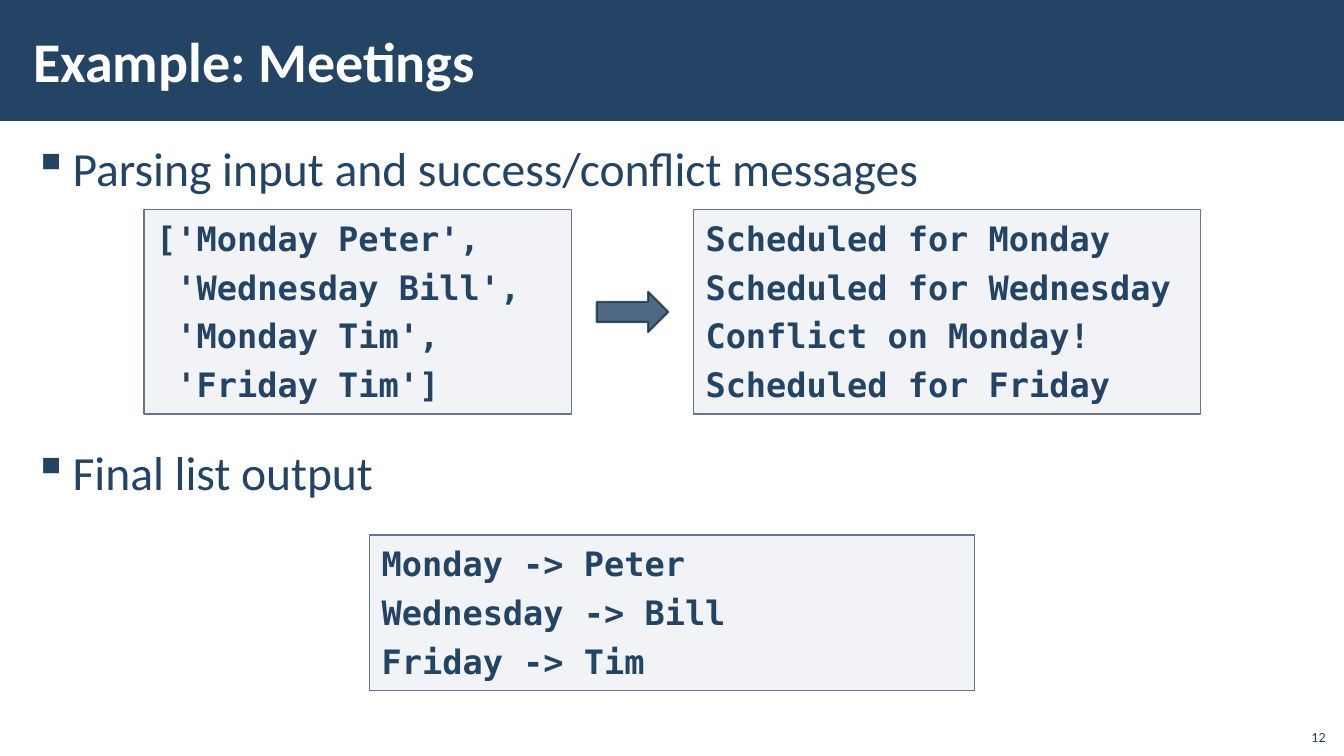
import dataclasses

import pptx
import pptx.dml.color
import pptx.enum.shapes
import pptx.enum.text
import pptx.oxml
import pptx.oxml.ns
import pptx.util

Pt = pptx.util.Pt
qn = pptx.oxml.ns.qn
Shapes = pptx.enum.shapes.MSO_SHAPE
Align = pptx.enum.text.PP_ALIGN
Anchor = pptx.enum.text.MSO_ANCHOR


@dataclasses.dataclass(frozen=True)
class Theme:
    navy: str = "234465"
    white: str = "FFFFFF"
    code_fill: str = "ADB4C3"
    code_line: str = "67748E"
    arrow_line: str = "1A334C"
    text_font: str = "Calibri"
    code_font: str = "DejaVu Sans Mono"
    title_size: int = 40
    body_size: int = 34
    code_size: int = 24
    number_size: int = 10


THEME = Theme()


@dataclasses.dataclass(frozen=True)
class Box:
    """A rectangle in points."""
    left: float
    top: float
    width: float
    height: float

    def inner(self, left, top, width, height):
        return Box(self.left + left, self.top + top, width, height)

    def lengths(self):
        return [Pt(value) for value in (self.left, self.top, self.width, self.height)]


def color(value):
    return pptx.dml.color.RGBColor.from_string(value)


def add_span(para, text, size, value=THEME.navy, font=THEME.text_font, bold=False):
    span = para.add_run()
    span.text = text
    span.font.size = Pt(size)
    span.font.name = font
    span.font.bold = bold
    span.font.color.rgb = color(value)


def set_frame(frame, anchor, side=8.64, edge=2.88):
    frame.word_wrap = True
    frame.auto_size = pptx.enum.text.MSO_AUTO_SIZE.NONE
    frame.vertical_anchor = anchor
    frame.margin_left = frame.margin_right = Pt(side)
    frame.margin_top = frame.margin_bottom = Pt(edge)


def set_opacity(fill_parent, percent):
    tint = fill_parent.find(qn("a:solidFill"))[0]
    alpha = pptx.oxml.parse_xml(f'<a:alpha {pptx.oxml.ns.nsdecls("a")} val="{percent * 1000}"/>')
    tint.append(alpha)


def add_filled(shapes, kind, box, fill, opacity=100, line=None, line_width=1):
    shape = shapes.add_shape(kind, *box.lengths())
    shape.shadow.inherit = False
    shape.fill.solid()
    shape.fill.fore_color.rgb = color(fill)
    if opacity < 100:
        set_opacity(shape.element.spPr, opacity)
    if line:
        shape.line.color.rgb = color(line)
        shape.line.width = Pt(line_width)
    else:
        shape.line.fill.background()
    return shape


def add_title_band(page, box, text):
    title = page.shapes.title
    band = add_filled(page.shapes, Shapes.RECTANGLE, box, THEME.navy)
    title.element.addprevious(band.element)  # keeps the band behind the title
    place = box.inner(15.12, 7.92, 765.36, 69.84)
    title.left, title.top, title.width, title.height = place.lengths()
    set_frame(title.text_frame, Anchor.MIDDLE)
    para = title.text_frame.paragraphs[0]
    para.alignment = Align.LEFT
    add_span(para, text, THEME.title_size, THEME.white, bold=True)


def add_bullets(page, box, items):
    """Items are pairs of space before, in points, and text."""
    frame = page.shapes.add_textbox(*box.lengths()).text_frame
    set_frame(frame, Anchor.TOP)
    for index, (space, text) in enumerate(items):
        para = frame.add_paragraph() if index else frame.paragraphs[0]
        para.line_spacing = 1.05
        para.space_before = Pt(space)
        para.space_after = Pt(6)
        props = para._p.get_or_add_pPr()
        props.set("marL", str(Pt(28.08)))
        props.set("indent", str(-Pt(28.08)))
        props.append(pptx.oxml.parse_xml(
            f'<a:buChar {pptx.oxml.ns.nsdecls("a")} char="▪"/>'))
        add_span(para, text, THEME.body_size)


def add_code(shapes, box, lines):
    panel = add_filled(shapes, Shapes.RECTANGLE, box, THEME.code_fill, 15, THEME.code_line)
    frame = panel.text_frame
    set_frame(frame, Anchor.TOP, edge=5.76)
    for index, text in enumerate(lines):
        para = frame.add_paragraph() if index else frame.paragraphs[0]
        para.alignment = Align.LEFT
        para.space_before = Pt(6)
        add_span(para, text, THEME.code_size, font=THEME.code_font, bold=True)


def add_parsing_example(page, box, source, messages):
    group = page.shapes.add_group_shape()
    source_width, message_width = 305.28, 362.16
    add_code(group.shapes, box.inner(0, 0, source_width, box.height), source)
    arrow = add_filled(group.shapes, Shapes.RIGHT_ARROW,
                       box.inner(323.28, (box.height - 28.8) / 2, 51.12, 28.8),
                       THEME.navy, 80, THEME.arrow_line, 1.5)
    set_opacity(arrow.element.spPr.find(qn("a:ln")), 80)
    add_code(group.shapes,
             box.inner(box.width - message_width, 0, message_width, box.height), messages)


def add_page_number(page, box, number):
    frame = page.shapes.add_textbox(*box.lengths()).text_frame
    set_frame(frame, Anchor.BOTTOM, 7.2, 3.6)
    para = frame.paragraphs[0]
    para.alignment = Align.RIGHT
    add_span(para, number, THEME.number_size)


def build_meetings_page(page, box):
    add_title_band(page, box.inner(0, 0, box.width, 86.4), "Example: Meetings")
    add_bullets(page, box.inner(15.12, 94.32, 930.24, 435.6), [
        (6, "Parsing input and success/conflict messages"),
        (168, "Final list output"),
    ])
    add_parsing_example(
        page, box.inner(102.96, 149.76, 754.56, 146.16),
        ["['Monday Peter',", " 'Wednesday Bill',", " 'Monday Tim',", " 'Friday Tim']"],
        ["Scheduled for Monday", "Scheduled for Wednesday",
         "Conflict on Monday!", "Scheduled for Friday"])
    # Final list, centred on the page
    add_code(page.shapes, box.inner((box.width - 432) / 2, 382.32, 432, 110.88),
             ["Monday -> Peter", "Wednesday -> Bill", "Friday -> Tim"])
    add_page_number(page, box.inner(925.2, 512.64, 28.8, 23.04), "12")


deck = pptx.Presentation()
deck.slide_width, deck.slide_height = Pt(960), Pt(540)
title_only = deck.slide_layouts.get_by_name("Title Only")
build_meetings_page(deck.slides.add_slide(title_only), Box(0, 0, 960, 540))
deck.save("out.pptx")
